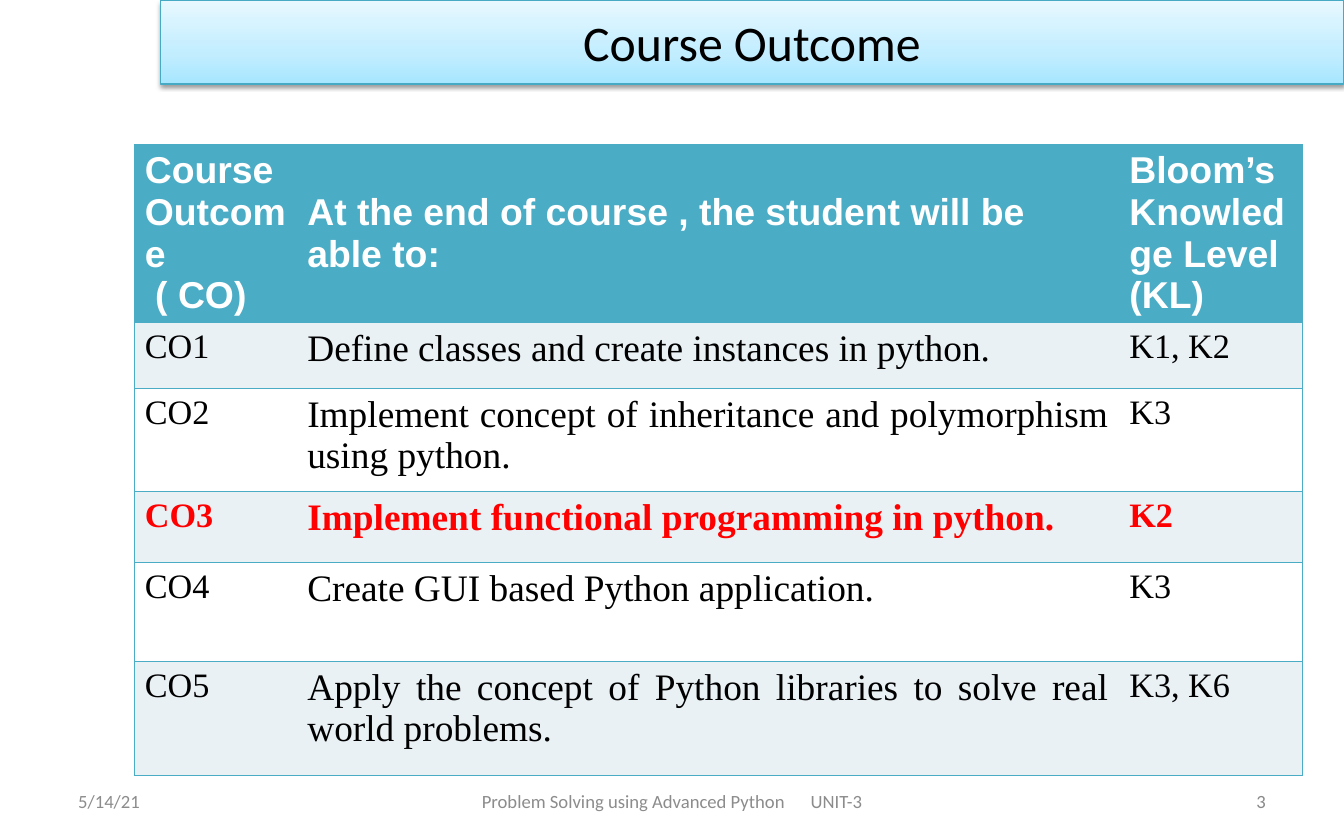
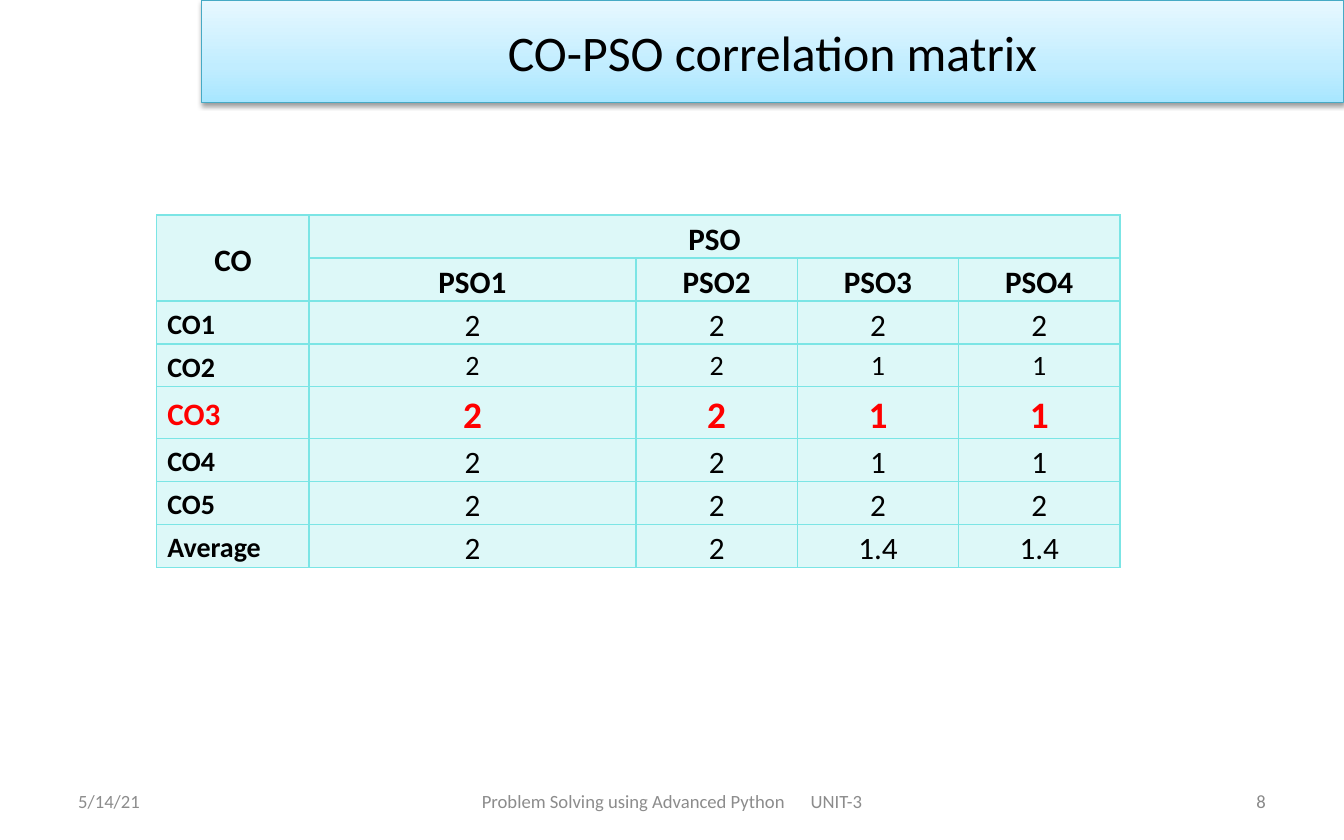
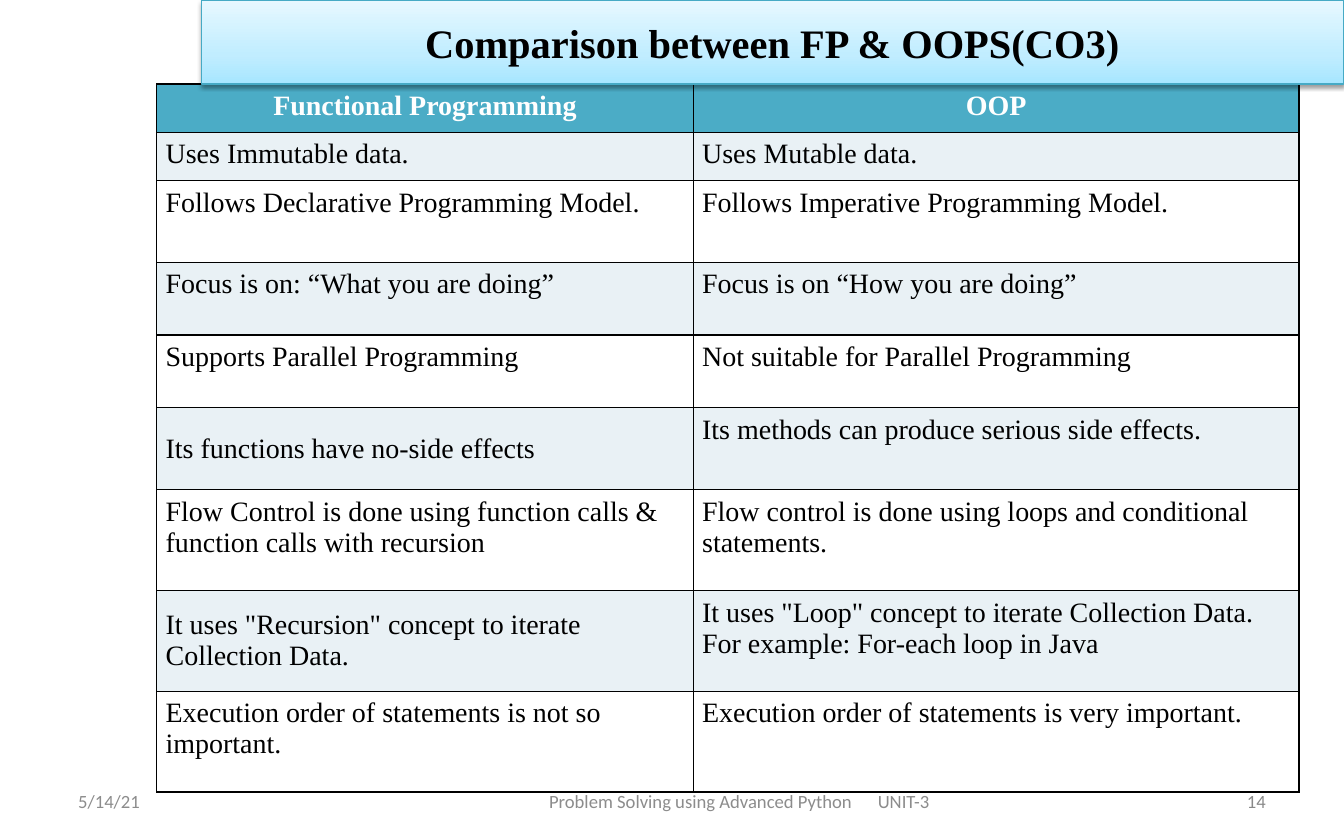
from copy import deepcopy
from dataclasses import dataclass
from typing import Callable

from lxml import etree
from pptx import Presentation
from pptx import util as u
from pptx.dml.color import RGBColor
from pptx.enum import shapes, text
from pptx.oxml.ns import qn

Pt = u.Pt
SLIDE_W, SLIDE_H = 864, 540
COLORS = {
    "black": "000000", "white": "FFFFFF", "red": "FF0000",
    "teal": "4BACC6", "pale": "E9F1F5", "aqua": "7BE5E5",
    "banner_line": "46AAC5", "footer": "8C8C8C", "number": "898989",
}
BANNER_STOPS = ((0, "A7E6FF"), (0.35, "C1EDFF"), (1, "E7F8FF"))
SANS, SERIF, HEAD = "Calibri", "Times New Roman", "Arial"
LEFT, CENTER = text.PP_ALIGN.LEFT, text.PP_ALIGN.CENTER
RIGHT, JUSTIFY = text.PP_ALIGN.RIGHT, text.PP_ALIGN.JUSTIFY
TOP, MIDDLE = text.MSO_ANCHOR.TOP, text.MSO_ANCHOR.MIDDLE
FOOTER = "Problem Solving using Advanced Python| |UNIT-3"
FOOTER_GAP = 13.6


@dataclass
class Banner:
    title: str
    left: float
    height: float
    size: float = 32
    font: str = SANS
    bold: bool = False


@dataclass
class Grid:
    left: float
    top: float
    height: float
    cols: list[float]
    rows: list[float]
    cells: list[list[str]]
    inset: tuple[float, float]
    border: str
    style: Callable[[int, int], dict]
    fill: Callable[[int], str]
    alpha: int = 100
    inner_verticals: bool = True
    merges: tuple = ()


@dataclass
class Page:
    number: int
    banner: Banner
    grid: Grid
    footer_left: float = 295.2
    footer_width: float = 273.6


def rgb(name: str) -> RGBColor:
    return RGBColor.from_string(COLORS[name])


def write(tf, content: str, *, size: float, font: str = SANS, color: str = "black",
          bold: bool = False, align=LEFT, spacing: float | None = None,
          after: float | None = None, gap: float = 0) -> None:
    """Lines become paragraphs, parts between bars become runs; gap widens a lone space."""
    for i, line in enumerate(content.split("\n")):
        p = tf.paragraphs[0] if i == 0 else tf.add_paragraph()
        p.alignment = align
        if spacing:
            p.line_spacing = spacing
        if after:
            p.space_after = Pt(after)
        for part in line.split("|"):
            r = p.add_run()
            r.text = part
            r.font.size, r.font.name, r.font.bold = Pt(size), font, bold
            r.font.color.rgb = rgb(color)
            if part == " ":
                r._r.get_or_add_rPr().set("spc", str(round(gap * 100)))


def add_label(s, content: str, left: float, width: float, **fmt) -> None:
    tf = s.shapes.add_textbox(Pt(left), Pt(500.4), Pt(width), Pt(28.8)).text_frame
    tf.word_wrap = True
    tf.vertical_anchor = MIDDLE
    write(tf, content, size=12, **fmt)


def add_banner(s, b: Banner) -> None:
    sp = s.shapes.add_shape(shapes.MSO_SHAPE.RECTANGLE, Pt(b.left), 0,
                            Pt(SLIDE_W - b.left), Pt(b.height))
    # Gradient running upwards, with a third stop
    sp.fill.gradient()
    sp.fill.gradient_angle = 90
    stops = sp._element.spPr.find(".//" + qn("a:gsLst"))
    stops.append(deepcopy(stops[0]))
    for stop, (position, color) in zip(sp.fill.gradient_stops, BANNER_STOPS):
        stop.position = position
        stop.color.rgb = RGBColor.from_string(color)
    sp.line.color.rgb = rgb("banner_line")
    sp.line.width = Pt(0.75)
    # Soft shadow below
    sp.shadow.inherit = False
    effects = sp._element.spPr.find(qn("a:effectLst"))
    shadow = etree.SubElement(effects, qn("a:outerShdw"), blurRad=str(Pt(3.1)),
                              dist=str(Pt(1.6)), dir="5400000", rotWithShape="0")
    tint = etree.SubElement(shadow, qn("a:srgbClr"), val=COLORS["black"])
    etree.SubElement(tint, qn("a:alpha"), val="38000")
    tf = sp.text_frame
    tf.word_wrap = True
    tf.vertical_anchor = MIDDLE
    write(tf, b.title, size=b.size, font=b.font, bold=b.bold, align=CENTER)


def add_border(cell, side: str, color: str | None) -> None:
    ln = etree.SubElement(cell._tc.get_or_add_tcPr(), qn(f"a:ln{side}"), w=str(Pt(1)))
    if color is None:
        etree.SubElement(ln, qn("a:noFill"))
    else:
        fill = etree.SubElement(ln, qn("a:solidFill"))
        etree.SubElement(fill, qn("a:srgbClr"), val=COLORS[color])


def add_grid(s, g: Grid) -> None:
    frame = s.shapes.add_table(len(g.rows), len(g.cols), Pt(g.left), Pt(g.top),
                               Pt(sum(g.cols)), Pt(g.height))
    table = frame.table
    table.first_row = table.horz_banding = False
    for column, width in zip(table.columns, g.cols):
        column.width = Pt(width)
    for row, height in zip(table.rows, g.rows):
        row.height = Pt(height)
    frame.height = Pt(g.height)
    for first, last in g.merges:
        table.cell(*first).merge(table.cell(*last))
    last_col = len(g.cols) - 1
    for i, row in enumerate(g.cells):
        for j, content in enumerate(row):
            cell = table.cell(i, j)
            cell.margin_left = cell.margin_right = Pt(g.inset[0])
            cell.margin_top = cell.margin_bottom = Pt(g.inset[1])
            add_border(cell, "L", g.border if g.inner_verticals or j == 0 else None)
            add_border(cell, "R", g.border if g.inner_verticals or j == last_col else None)
            add_border(cell, "T", g.border)
            add_border(cell, "B", g.border)
            cell.fill.solid()
            cell.fill.fore_color.rgb = rgb(g.fill(i))
            if g.alpha < 100:
                color = cell._tc.tcPr.find(f"{qn('a:solidFill')}/{qn('a:srgbClr')}")
                etree.SubElement(color, qn("a:alpha"), val=str(g.alpha * 1000))
            fmt = g.style(i, j)
            cell.vertical_anchor = fmt.pop("anchor", TOP)
            if content:
                write(cell.text_frame, content, **fmt)


def banded(row: int) -> str:
    return "teal" if row == 0 else "pale" if row % 2 else "white"


# Cell formats, one function per table
def outcome_style(row: int, col: int) -> dict:
    if row == 0:
        return dict(size=24, font=HEAD, color="white", bold=True,
                    anchor=MIDDLE if col == 1 else TOP)
    current = row == 3
    return dict(size=24 if col == 1 else 22, font=SERIF, bold=current,
                color="red" if current else "black", align=JUSTIFY if col == 1 else LEFT)


def matrix_style(row: int, col: int) -> dict:
    current, heading = row == 4, row < 2
    fmt = dict(size=20, spacing=1.15, bold=heading or current or col == 0,
               color="red" if current else "black",
               align=CENTER if heading or col else LEFT,
               anchor=TOP if col else MIDDLE)
    if current and col:
        fmt["size"] = 24
    elif row == 3 or (col == 0 and not heading and not current):
        fmt["size"] = 18
    if (row, col) == (0, 1):
        fmt["after"] = 10
    return fmt


def comparison_style(row: int, col: int) -> dict:
    if row == 0:
        return dict(size=18, font=SERIF, color="white", bold=True, align=CENTER)
    return dict(size=18, font=SERIF, anchor=MIDDLE if col == 0 and row in (5, 7) else TOP)


# Slide content
OUTCOMES = Grid(
    86.4, 92.9, 414, [104.4, 528.5, 118], [81.4, 42.5, 66.2, 46, 63.4, 73.4],
    [["Course Outcome\n ( CO)", "At the end of course , the student will be able to:",
      "Bloom’s Knowledge Level (KL)"],
     ["CO1", "Define classes and create instances in python.", "K1, K2"],
     ["CO2", "Implement concept of inheritance and polymorphism using python.", "K3"],
     ["CO3", "Implement functional programming in python.", "K2"],
     ["CO4", "Create GUI based Python application.", "K3"],
     ["CO5", "Apply the concept of Python libraries to solve real world problems.", "K3, K6"]],
    (6.75, 3.6), "teal", outcome_style, banded, inner_verticals=False)

MATRIX = Grid(
    100.8, 138.2, 220.3, [97.9, 210.2] + [103.7] * 3, [27.54] * 8,
    [["CO", "PSO", "", "", ""],
     ["", "PSO1", "PSO2", "PSO3", "PSO4"],
     ["CO1", "2", "2", "2", "2"],
     ["CO2", "2", "2", "1", "1"],
     ["CO3", "2", "2", "1", "1"],
     ["CO4", "2", "2", "1", "1"],
     ["CO5", "2", "2", "2", "2"],
     ["Average", "2", "2", "1.4", "1.4"]],
    (6.75, 0), "aqua", matrix_style, lambda row: "aqua", alpha=25,
    merges=(((0, 0), (1, 0)), ((0, 1), (0, 4))))

COMPARISON = Grid(
    100.8, 54, 454.3, [344.9, 389.5], [31, 31, 52.6, 46.8, 46.8, 52.6] + [64.8] * 3,
    [["Functional Programming", "OOP"],
     ["Uses Immutable data.", "Uses Mutable data."],
     ["Follows Declarative Programming Model.", "Follows Imperative Programming Model."],
     ["Focus is on: “What you are doing”", "Focus is on “How you are doing”"],
     ["Supports Parallel Programming", "Not suitable for Parallel Programming"],
     ["Its functions have no-side effects", "Its methods can produce serious side effects."],
     ["Flow Control is done using function calls & function calls with recursion",
      "Flow control is done using loops and conditional statements."],
     ['It uses "Recursion" concept to iterate Collection Data.',
      'It uses "Loop" concept to iterate Collection Data. For example: For-each loop in Java'],
     ["Execution order of statements is not so important.",
      "Execution order of statements is very important."]],
    (5.7, 4.3), "black", comparison_style, banded)

PAGES = [
    Page(3, Banner("Course Outcome", 103, 54), OUTCOMES),
    Page(8, Banner("CO-PSO correlation matrix", 129.6, 66.2), MATRIX),
    Page(14, Banner("Comparison between FP & OOPS(CO3)", 129.6, 54, 26, SERIF, True),
         COMPARISON, 237.6, 475.2),
]


def main() -> None:
    prs = Presentation()
    prs.slide_width, prs.slide_height = Pt(SLIDE_W), Pt(SLIDE_H)
    for page in PAGES:
        s = prs.slides.add_slide(prs.slide_layouts[6])
        add_grid(s, page.grid)
        add_label(s, "5/14/21", 43.2, 201.6, color="footer")
        add_label(s, FOOTER, page.footer_left, page.footer_width,
                  color="footer", align=CENTER, gap=FOOTER_GAP)
        add_label(s, str(page.number), 619.2, 201.6, color="number", align=RIGHT)
        add_banner(s, page.banner)
    prs.save("out.pptx")


if __name__ == "__main__":
    main()
